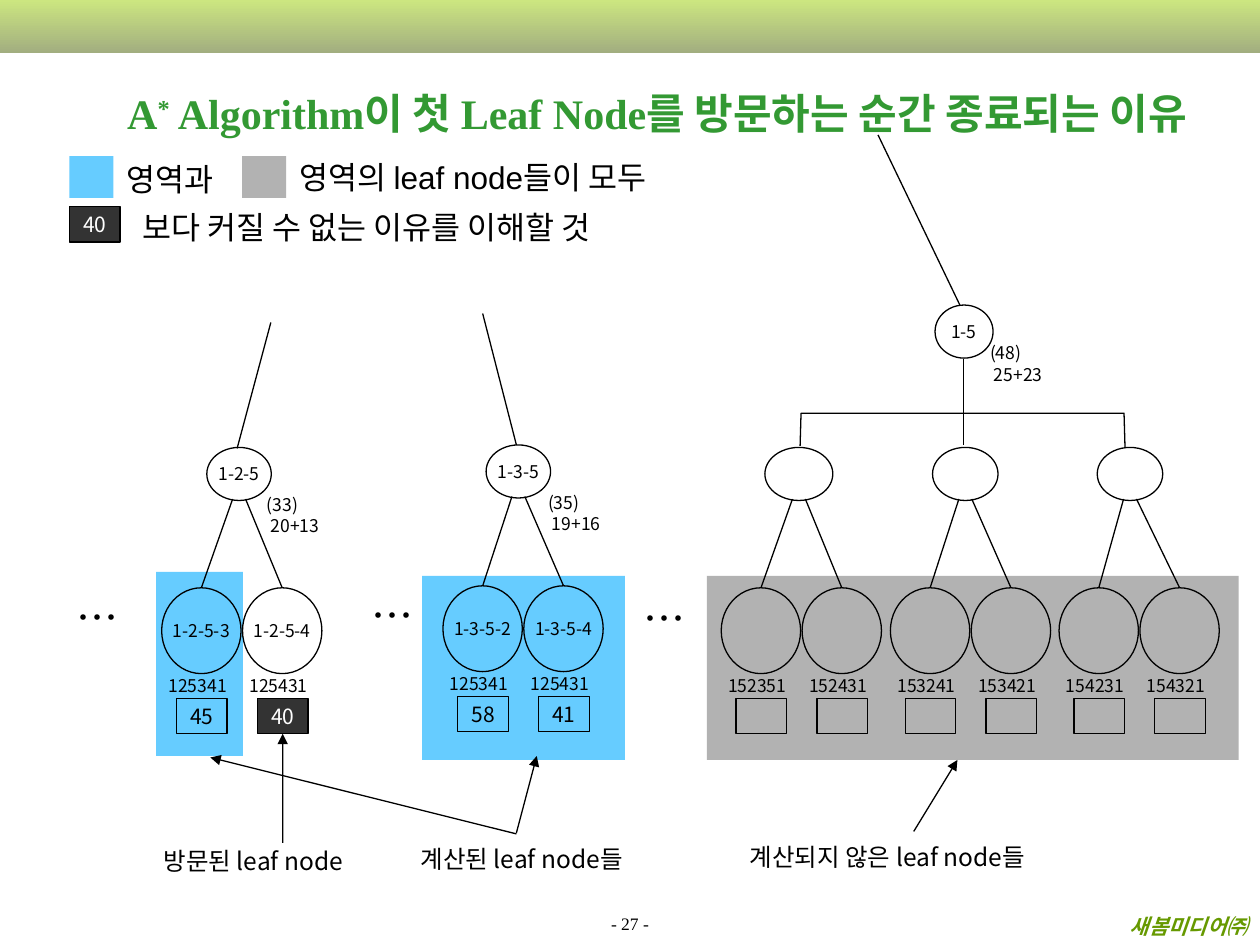
from lxml import etree
from pptx import Presentation
from pptx.dml.color import RGBColor
from pptx.enum.shapes import MSO_CONNECTOR, MSO_SHAPE
from pptx.enum.text import MSO_ANCHOR as Anchor, MSO_AUTO_SIZE as AutoSize, PP_ALIGN as Align
from pptx.oxml.ns import qn
from pptx.util import Cm, Pt

BLACK = RGBColor(0x00, 0x00, 0x00)
WHITE = RGBColor(0xFF, 0xFF, 0xFF)
DARK = RGBColor(0x33, 0x33, 0x33)
BLUE = RGBColor(0x66, 0xCC, 0xFF)
GRAY = RGBColor(0xB2, 0xB2, 0xB2)
TITLE_GREEN = RGBColor(0x33, 0x99, 0x33)
FOOTER_GREEN = RGBColor(0x66, 0x99, 0x00)
BAND_TOP = RGBColor(0xCC, 0xE6, 0x80)
BAND_BOTTOM = RGBColor(0xA2, 0xAE, 0x80)

SANS = "Noto Sans CJK KR"
SERIF = "Times New Roman"
RECTANGLE = MSO_SHAPE.RECTANGLE
OVAL = MSO_SHAPE.OVAL
LINE_WIDTH = Pt(0.75)

presentation = Presentation()
presentation.slide_width = Cm(25.4)
presentation.slide_height = Cm(19.05)
slide = presentation.slides.add_slide(presentation.slide_layouts[6])


def add_item(box, text="", kind=None, fill=None, line=None, size=10, font=SANS,
             color=BLACK, bold=False, italic=False, align=None, anchor=None,
             wrap=False, superscript=None):
    """Add a preset shape, or a text box when kind is None; box is in centimetres."""
    frame = [Cm(length) for length in box]
    if kind is None:
        item = slide.shapes.add_textbox(*frame)
    else:
        item = slide.shapes.add_shape(kind, *frame)
        item.shadow.inherit = False
        align, anchor = Align.CENTER, Anchor.MIDDLE
        if fill is None:
            item.fill.background()
        else:
            item.fill.solid()
            item.fill.fore_color.rgb = fill
        if line is None:
            item.line.fill.background()
        else:
            item.line.color.rgb = line
            item.line.width = LINE_WIDTH
    if not text:
        return item

    text_frame = item.text_frame
    text_frame.word_wrap = wrap
    if kind is None and not wrap:
        text_frame.auto_size = AutoSize.SHAPE_TO_FIT_TEXT
    text_frame.vertical_anchor = anchor or Anchor.TOP
    for index, row in enumerate(text.split("\n")):
        paragraph = text_frame.add_paragraph() if index else text_frame.paragraphs[0]
        paragraph.alignment = align or Align.LEFT
        for piece in row.partition(superscript) if superscript else [row]:
            run = paragraph.add_run()
            run.text = piece
            run.font.size = Pt(size)
            run.font.name = font
            run.font.bold = bold
            run.font.italic = italic
            run.font.color.rgb = color
            properties = run._r.get_or_add_rPr()
            etree.SubElement(properties, qn("a:ea"), typeface=SANS)
            if piece == superscript:
                properties.set("baseline", "30000")
    return item


def add_line(start, end, arrow=False):
    connector = slide.shapes.add_connector(
        MSO_CONNECTOR.STRAIGHT, *[Cm(length) for length in (*start, *end)])
    connector.line.color.rgb = BLACK
    connector.line.width = LINE_WIDTH
    if arrow:
        etree.SubElement(connector.line._get_or_add_ln(), qn("a:tailEnd"), type="triangle")
    etree.SubElement(connector._element.spPr, qn("a:effectLst"))
    return connector


# Header band, page number and footer
band = add_item((0, 0, 25.4, 1.07), kind=RECTANGLE)
band.fill.gradient()
band.fill.gradient_angle = 270
for stop, stop_color in zip(band.fill.gradient_stops, (BAND_TOP, BAND_BOTTOM)):
    stop.color.rgb = stop_color
add_item((0, 18.39, 25.4, 0.56), "- 27 -", font=SERIF, align=Align.CENTER,
         anchor=Anchor.BOTTOM, wrap=True)
add_item((0.15, 18.29, 25.25, 0.76), "새봄미디어㈜", size=12, font=SERIF,
         color=FOOTER_GREEN, bold=True, italic=True, align=Align.RIGHT, wrap=True)

# Title
add_item((1.09, 1.17, 24.31, 2.21),
         "A* Algorithm이 첫 Leaf Node를 방문하는 순간 종료되는 이유",
         size=24, font=SERIF, color=TITLE_GREEN, bold=True, align=Align.CENTER,
         anchor=Anchor.MIDDLE, wrap=True, superscript="*")

# Legend
for left, swatch_color in ((1.4, BLUE), (4.88, GRAY)):
    add_item((left, 3.15, 0.89, 0.84), kind=RECTANGLE, fill=swatch_color)
add_item((1.4, 4.17, 1.02, 0.71), "40", RECTANGLE, DARK, BLACK, size=12, color=WHITE)
for left, top, width, text in (
    (2.31, 3.1, 2.44, "영역과"),
    (5.79, 3.07, 8.23, "영역의 leaf node들이 모두"),
    (2.62, 4.06, 10.11, "보다 커질 수 없는 이유를 이해할 것"),
):
    add_item((left, top, width, 1.02), text, size=18, font="Arial")

# Coloured regions behind the leaves
for left, top, width, region_color in (
    (3.15, 11.53, 1.75, BLUE),
    (8.51, 11.61, 4.09, BLUE),
    (14.25, 11.61, 10.72, GRAY),
):
    add_item((left, top, width, 3.71), kind=RECTANGLE, fill=region_color)

# Subtrees: parent left, top, width, name; first leaf left, top; leaves (name, number, cost)
SUBTREES = (
    (4.17, 9.02, 1.3, "1-2-5", 3.26, 11.85,
     (("1-2-5-3", "125341", "45"), ("1-2-5-4", "125431", "40"))),
    (9.8, 8.97, 1.3, "1-3-5", 8.93, 11.81,
     (("1-3-5-2", "125341", "58"), ("1-3-5-4", "125431", "41"))),
    (15.42, 9.02, 1.37, "", 14.54, 11.85, (("", "152351", ""), ("", "152431", ""))),
    (18.8, 9.02, 1.32, "", 17.95, 11.85, (("", "153241", ""), ("", "153421", ""))),
    (22.12, 9.02, 1.32, "", 21.35, 11.85, (("", "154231", ""), ("", "154321", ""))),
)
LEAF_WIDTH, LEAF_HEIGHT, LEAF_PITCH = 1.6, 1.73, 1.63
visited_box = None
for left, top, width, name, first_leaf, leaf_top, leaves in SUBTREES:
    add_item((left, top, width, 1.07), name, OVAL, line=BLACK)
    for index, (leaf_name, number, cost) in enumerate(leaves):
        leaf_left = first_leaf + index * LEAF_PITCH
        visited = cost == "40"
        add_item((leaf_left, leaf_top, LEAF_WIDTH, LEAF_HEIGHT), leaf_name, OVAL, line=BLACK)
        add_item((leaf_left - 0.11, leaf_top + 1.63, 1.7, 0.69), number)
        cost_box = add_item((leaf_left + 0.3, leaf_top + 2.23, 1.02, 0.71), cost, RECTANGLE,
                            DARK if visited else None, BLACK, size=12,
                            color=WHITE if visited else BLACK)
        if visited:
            visited_box = cost_box
        side = 0.13 if index else -0.13
        add_line((left + width / 2 + side, top + 1.04),
                 (leaf_left + LEAF_WIDTH / 2, leaf_top))

# Upper part of the right tree
add_item((18.85, 6.15, 1.17, 1.07), "1-5", OVAL, WHITE, BLACK)
builder = slide.shapes.build_freeform(Cm(16.13), Cm(8.99), scale=1.0)
builder.add_line_segments(
    [(Cm(x), Cm(y)) for x, y in ((16.15, 8.33), (22.66, 8.33), (22.68, 9.02))], close=False)
branch = builder.convert_to_shape()
branch.shadow.inherit = False
branch.fill.background()
branch.line.color.rgb = BLACK
branch.line.width = LINE_WIDTH

# Lines to the parts of the tree above
for start, end in (
    ((19.43, 7.24), (19.43, 8.97)),
    ((4.78, 9.04), (5.46, 6.5)),
    ((10.41, 8.97), (9.73, 6.32)),
    ((19.35, 6.15), (17.7, 2.72)),
):
    add_line(start, end)

# Estimated costs beside the nodes
for left, top, text in (
    (19.71, 6.78, "(48)\n 25+23"),
    (5.13, 9.83, "(33)\n 20+13"),
    (10.8, 9.8, "(35)\n 19+16"),
):
    add_item((left, top, 1.6, 1.12), text)

for left, top in ((1.3, 11.79), (7.24, 11.76), (12.73, 11.81)):
    add_item((left, top, 1.17, 1.27), "…", size=24)

# Captions and their arrows
for left, top, width, text in (
    (3.05, 16.94, 4.29, "방문된 leaf node"),
    (8.23, 16.89, 4.88, "계산된 leaf node들"),
    (14.86, 16.84, 6.38, "계산되지 않은 leaf node들"),
):
    add_item((left, top, width, 0.86), text, size=14)
for start, end in (
    ((10.41, 16.79), (10.82, 15.24)),
    ((10.41, 16.81), (4.24, 15.27)),
    ((18.42, 16.76), (19.3, 15.32)),
):
    add_line(start, end, arrow=True)
add_line((5.7, 16.99), (5.7, 14.79), arrow=True).end_connect(visited_box, 2)

presentation.save("out.pptx")
